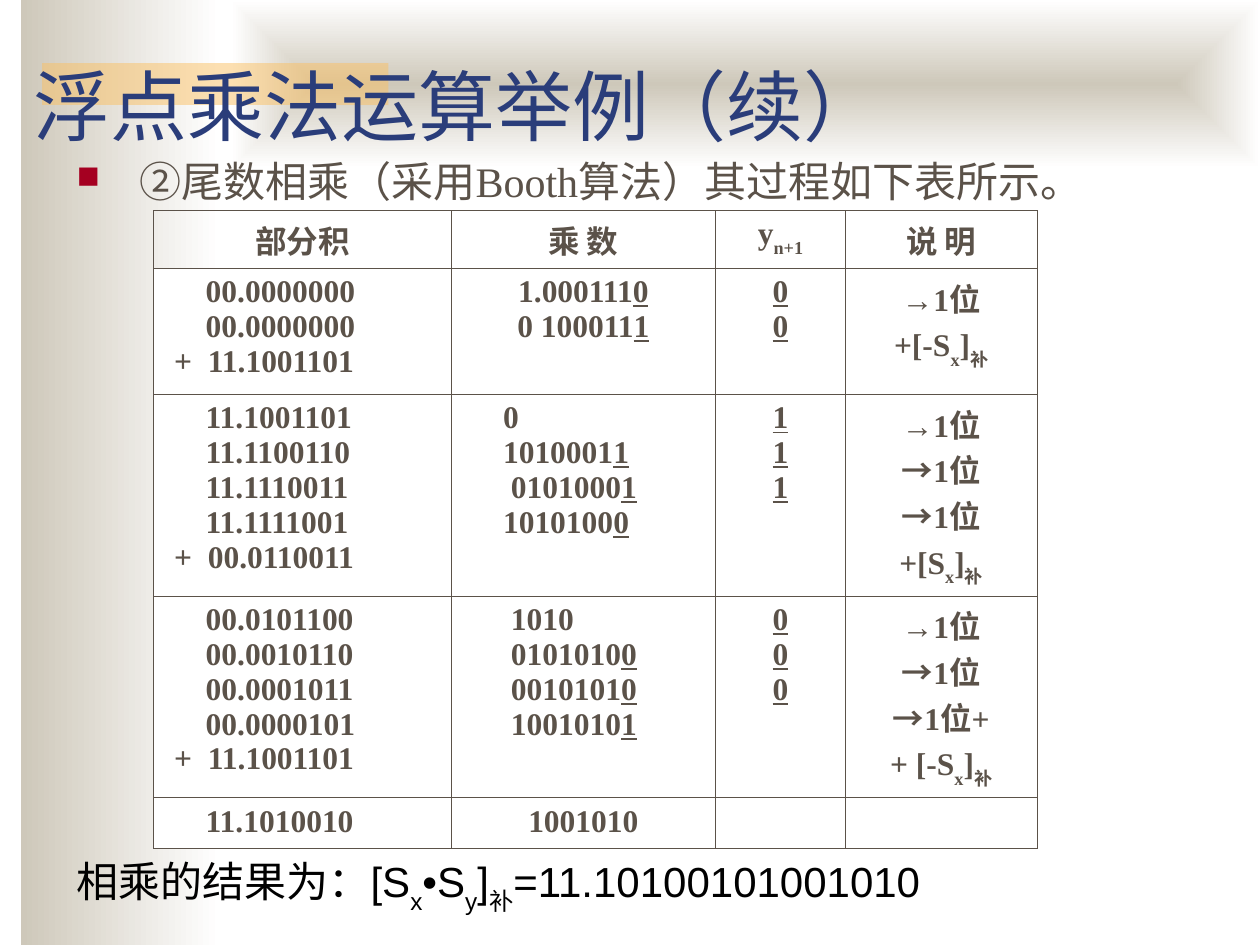
from lxml.etree import SubElement
from pptx import Presentation
from pptx.dml.color import RGBColor
from pptx.enum.shapes import MSO_SHAPE
from pptx.enum.text import MSO_ANCHOR, PP_ALIGN
from pptx.oxml.ns import qn
from pptx.util import Inches, Pt

COLORS = {
    "sand": "CEC8BA",
    "white": "FFFFFF",
    "amber": "FAC164",
    "title": "2A3D7A",
    "body": "5B5249",
    "bullet": "A50021",
    "black": "000000",
}
SERIF = "Times New Roman"
SANS = "Arial"
GRID_COLUMNS, GRID_ROWS = 60, 45
UNIT = Inches(10) // GRID_COLUMNS
SPACE = Inches(0.0625)
COLUMN_WIDTHS = [2.36, 2.1, 1.03, 1.52]
ROW_HEIGHTS = [0.46, 1, 1.6, 1.6, 0.4]


def rgb(name):
    return RGBColor.from_string(COLORS[name])


def grid(*cells):
    return [round(cell * UNIT) for cell in cells]


def add_element(parent, tag, **attributes):
    return SubElement(parent, qn(tag), attributes)


def add_block(slide, box):
    shape = slide.shapes.add_shape(MSO_SHAPE.RECTANGLE, *grid(*box))
    shape.shadow.inherit = False
    shape.line.fill.background()
    return shape


def add_gradient_block(slide, box, from_center=False):
    fill = add_block(slide, box).fill
    fill.gradient()
    fill.gradient_angle = 0
    for stop, color in zip(fill.gradient_stops, ("sand", "white")):
        stop.color.rgb = rgb(color)
    if from_center:
        gradient = fill._xPr.find(qn("a:gradFill"))
        gradient.remove(gradient.find(qn("a:lin")))
        center = add_element(gradient, "a:path", path="rect")
        add_element(center, "a:fillToRect", l="50000", t="50000", r="50000", b="50000")


def add_translucent_block(slide, box, color):
    fill = add_block(slide, box).fill
    fill.solid()
    fill.fore_color.rgb = rgb(color)
    add_element(fill._xPr.find(qn("a:solidFill"))[0], "a:alpha", val="50000")


def add_runs(paragraph, runs, size, font_name, color, bold=False):
    for item in runs:
        text, style = item if isinstance(item, tuple) else (item, None)
        for index, line in enumerate(text.split("\n")):
            if index:
                paragraph.add_line_break()
            if not line:
                continue
            run = paragraph.add_run()
            run.text = line
            font = run.font
            font.size, font.name, font.bold = Pt(size), font_name, bold
            font.color.rgb = rgb(color)
            if style == "under":
                font.underline = True
            elif style == "sub":
                font._element.set("baseline", "-30000")


def add_text(slide, box, runs, size, font_name, color, anchor=MSO_ANCHOR.TOP):
    frame = slide.shapes.add_textbox(*grid(*box)).text_frame
    frame.word_wrap = True
    frame.vertical_anchor = anchor
    paragraph = frame.paragraphs[0]
    add_runs(paragraph, runs, size, font_name, color)
    return paragraph


def set_indent(paragraph, margin, first_line=0):
    properties = paragraph._p.get_or_add_pPr()
    properties.set("marL", str(int(margin)))
    properties.set("indent", str(int(first_line)))
    return properties


def add_bullet(paragraph):
    properties = set_indent(paragraph, Inches(0.5), -Inches(0.5))
    bullet_color = add_element(properties, "a:buClr")
    add_element(bullet_color, "a:srgbClr", val=COLORS["bullet"])
    add_element(properties, "a:buSzPct", val="75000")
    add_element(properties, "a:buChar", char="■")


def set_borders(cell):
    properties = cell._tc.get_or_add_tcPr()
    for index, side in enumerate(("a:lnL", "a:lnR", "a:lnT", "a:lnB")):
        line = add_element(properties, side, w=str(Pt(0.45)))
        fill = add_element(line, "a:solidFill")
        add_element(fill, "a:srgbClr", val=COLORS["body"])
        properties.remove(line)
        properties.insert(index, line)


def fill_cell(cell, lines, filled):
    if filled:
        cell.fill.solid()
        cell.fill.fore_color.rgb = rgb("white")
    else:
        cell.fill.background()
    set_borders(cell)
    for index, (spaces, runs) in enumerate(lines):
        frame = cell.text_frame
        paragraph = frame.add_paragraph() if index else frame.paragraphs[0]
        if spaces is None:
            paragraph.alignment = PP_ALIGN.CENTER
        elif runs[0].startswith("+"):
            set_indent(paragraph, Inches(0.33), SPACE - Inches(0.33))
        else:
            set_indent(paragraph, spaces * SPACE)
        add_runs(paragraph, runs, 18, SERIF, "body", bold=True)


def centered(*runs):
    return [(None, runs)]


def sums(*numbers):
    return [(5, [number]) for number in numbers]


def multiplier(spaces, digits, last=""):
    return spaces, [digits, (last, "under")]


def next_bits(*bits):
    return [(None, [(bit, "under")]) for bit in bits]


def steps(text):
    return centered(text, ("x", "sub"), "]", ("补", "sub"))


def table_rows():
    return [
        [centered("部分积"), centered("乘 数"), centered("y", ("n+1", "sub")), centered("说 明")],
        [
            sums("00.0000000", "00.0000000", "+\t11.1001101"),
            [multiplier(None, "1.000111", "0"), multiplier(None, "0 100011", "1")],
            next_bits("0", "0"),
            steps("→1位\n+[-S"),
        ],
        [
            sums("11.1001101", "11.1100110", "11.1110011", "11.1111001", "+\t00.0110011"),
            [multiplier(5, "0"), multiplier(5, "1010001", "1"),
             multiplier(6, "0101000", "1"), multiplier(5, "1010100", "0")],
            next_bits("1", "1", "1"),
            steps("→1位\n→1位\n→1位\n+[S"),
        ],
        [
            sums("00.0101100", "00.0010110", "00.0001011", "00.0000101", "+\t11.1001101"),
            [multiplier(6, "1010"), multiplier(6, "0101010", "0"),
             multiplier(6, "0010101", "0"), multiplier(6, "1001010", "1")],
            next_bits("0", "0", "0"),
            steps("→1位\n→1位\n→1位+\n+ [-S"),
        ],
        [sums("11.1010010"), centered("1001010"), [], []],
    ]


def add_booth_table(slide, left, top):
    rows = table_rows()
    width, height = Inches(sum(COLUMN_WIDTHS)), Inches(sum(ROW_HEIGHTS))
    table = slide.shapes.add_table(
        len(rows), len(COLUMN_WIDTHS), *grid(left, top), width, height).table
    for column, column_width in zip(table.columns, COLUMN_WIDTHS):
        column.width = Inches(column_width)
    for row_index, (row, row_height) in enumerate(zip(table.rows, ROW_HEIGHTS)):
        row.height = Inches(row_height)
        for cell, lines in zip(row.cells, rows[row_index]):
            fill_cell(cell, lines, filled=row_index > 0)


def main():
    presentation = Presentation()
    presentation.slide_width = UNIT * GRID_COLUMNS
    presentation.slide_height = UNIT * GRID_ROWS
    slide = presentation.slides.add_slide(presentation.slide_layouts[6])
    add_gradient_block(slide, (1, 0, 9.5, GRID_ROWS))
    add_gradient_block(slide, (11, 0, 49, 8), from_center=True)
    add_translucent_block(slide, (2, 3, 16.5, 2), "amber")
    add_text(slide, (1, 0, 51, 7.5), ["浮点乘法运算举例（续）"], 44, SERIF, "title", MSO_ANCHOR.BOTTOM)
    process = add_text(slide, (3.06, 7.38, 54, 3.3),
                       ["②尾数相乘（采用Booth算法）其过程如下表所示。"], 24, SERIF, "body")
    process.line_spacing = 0.9
    add_bullet(process)
    add_booth_table(slide, 7.32, 10.02)
    result = add_text(slide, (3.06, 40.44, 54, 3.3),
                      ["相乘的结果为：[S", ("x", "sub"), "•S", ("y", "sub"), "]",
                       ("补", "sub"), "=11.10100101001010"], 24, SANS, "black")
    result.line_spacing = 0.9
    presentation.save("out.pptx")


if __name__ == "__main__":
    main()
